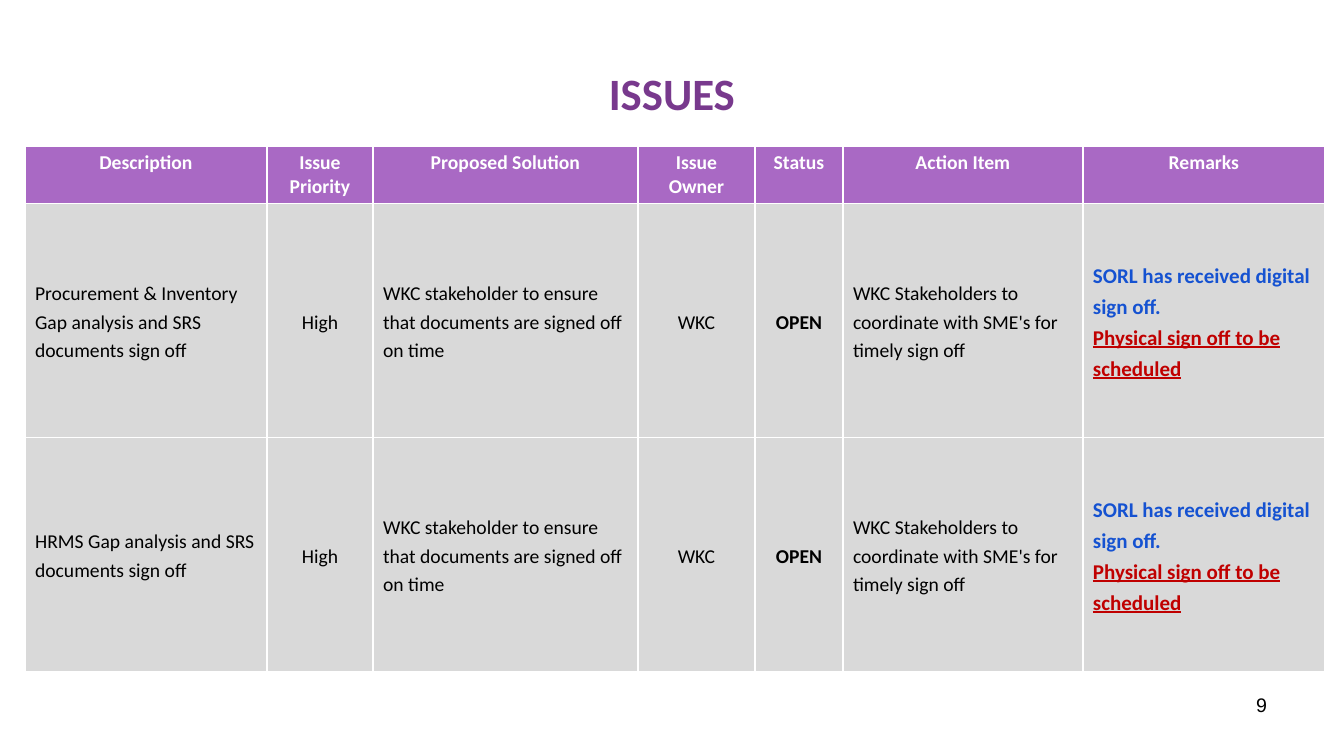
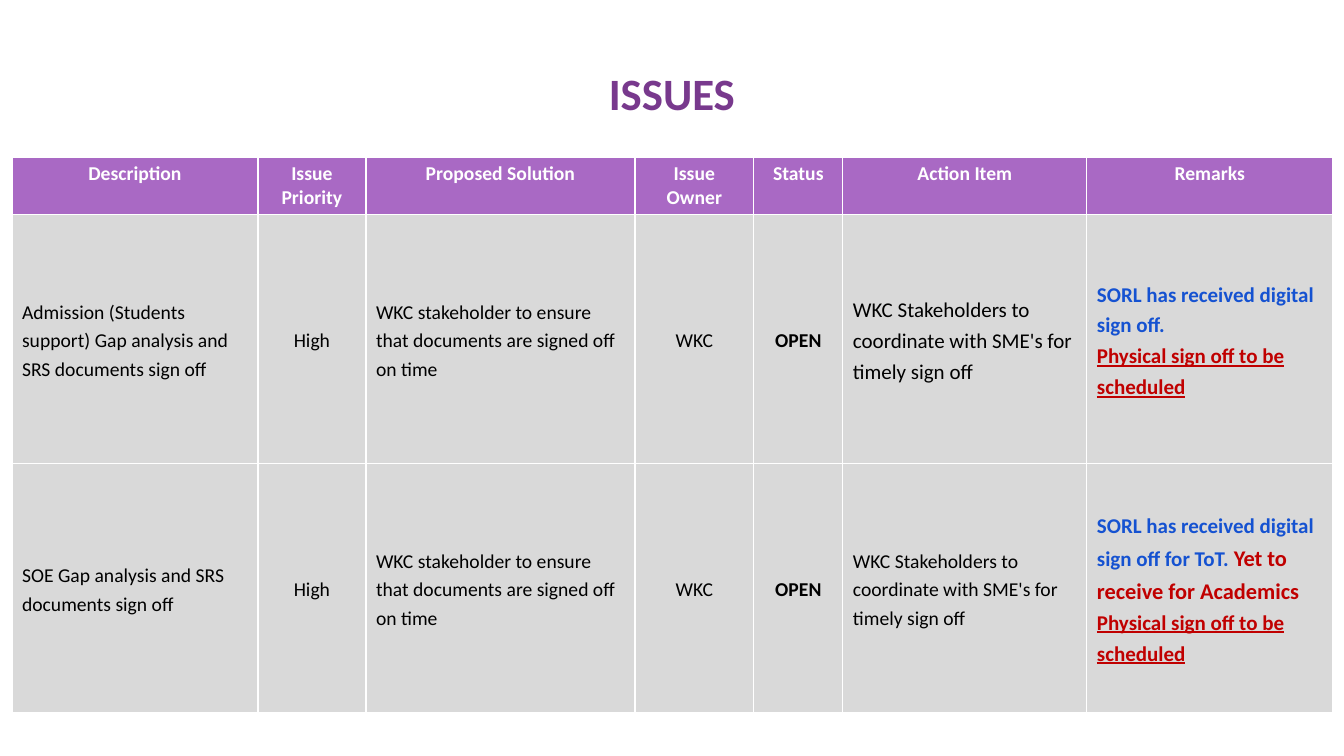
"""Build the two issue-log slides."""
from typing import NamedTuple

from lxml.etree import SubElement
from pptx import Presentation
from pptx.dml.color import RGBColor
from pptx.enum.text import MSO_ANCHOR, PP_ALIGN
from pptx.oxml import parse_xml
from pptx.oxml.ns import nsdecls, qn
from pptx.util import Emu, Pt

COLORS = {
    "title": "78398D",
    "header": "A969C4",
    "body": "D9D9D9",
    "white": "FFFFFF",
    "black": "000000",
    "blue": "1552D1",
    "red": "C00000",
}


class Style(NamedTuple):
    size: int
    color: str
    bold: bool = False
    underline: bool = False
    font: str = "Calibri"


TITLE = Style(32, "title", bold=True)
NUMBER = Style(14, "black", font="Arial")
HEADER = Style(14, "white", bold=True)
BODY = Style(14, "black")
BODY_LARGE = Style(15, "black")
STATUS = Style(14, "black", bold=True)
RECEIVED = Style(15, "blue", bold=True)
MISSING = Style(16, "red", bold=True)
PENDING = Style(15, "red", bold=True, underline=True)

HEADINGS = ["Description", "Issue Priority", "Proposed Solution", "Issue Owner",
            "Status", "Action Item", "Remarks"]
COLUMN_WIDTHS = [242, 106, 265, 117, 88, 240, 242]
CENTERED = {"Issue Priority", "Issue Owner", "Status"}
SOLUTION = "WKC stakeholder to ensure that documents are signed off on time"
ACTION = "WKC Stakeholders to coordinate with SME's for timely sign off"
SIGNED_OFF = [("SORL has received digital sign off.", RECEIVED)]
PARTLY_SIGNED_OFF = [("SORL has received digital sign off for ToT. ", RECEIVED),
                     ("Yet to receive for Academics", MISSING)]
TO_SCHEDULE = [("Physical sign off to be scheduled", PENDING)]


class Deck:
    SCALE = 914400 / 100.8

    def __init__(self):
        self.prs = Presentation()
        self.prs.slide_width = self.px(1344)
        self.prs.slide_height = self.px(756)
        self.slide = None

    def px(self, length):
        return Emu(round(length * self.SCALE))

    def add_slide(self, title, number):
        self.slide = self.prs.slides.add_slide(self.prs.slide_layouts[6])
        self.text(title, TITLE, (67, 30, 1210, 126), PP_ALIGN.CENTER, MSO_ANCHOR.MIDDLE)
        self.text(str(number), NUMBER, (964, 688, 313, 52), PP_ALIGN.RIGHT, MSO_ANCHOR.TOP)

    def text(self, words, style, box, align, anchor):
        frame = self.slide.shapes.add_textbox(*map(self.px, box)).text_frame
        frame.word_wrap = True
        frame.vertical_anchor = anchor
        self.set_paragraphs(frame, [[(words, style)]], align)

    def set_paragraphs(self, frame, paragraphs, align, spacing=None):
        for index, pieces in enumerate(paragraphs):
            paragraph = frame.add_paragraph() if index else frame.paragraphs[0]
            paragraph.alignment = align
            paragraph.line_spacing = spacing
            for words, style in pieces:
                run = paragraph.add_run()
                run.text = words
                run.font.name = style.font
                run.font.size = Pt(style.size)
                run.font.bold = style.bold
                run.font.underline = style.underline
                run.font.color.rgb = RGBColor.from_string(COLORS[style.color])

    def paint(self, cell, color):
        cell.fill.solid()
        cell.fill.fore_color.rgb = RGBColor.from_string(COLORS[color])
        properties = cell._tc.get_or_add_tcPr()
        for index, side in enumerate(("lnL", "lnR", "lnT", "lnB")):
            border = parse_xml(f'<a:{side} {nsdecls("a")} w="{Pt(1)}"/>')
            solid = SubElement(border, qn("a:solidFill"))
            SubElement(solid, qn("a:srgbClr"), val=COLORS["white"])
            properties.insert(index, border)

    def issue_table(self, left, top, width, row_height, issues):
        heights = [57] + [row_height] * len(issues)
        box = (left, top, width, sum(heights))
        table = self.slide.shapes.add_table(
            len(heights), len(HEADINGS), *map(self.px, box)).table
        table.horz_banding = False
        for column, share in zip(table.columns, COLUMN_WIDTHS):
            column.width = self.px(round(share * width / sum(COLUMN_WIDTHS)))
        for row, height in zip(table.rows, heights):
            row.height = self.px(height)
        for cell, heading in zip(table.rows[0].cells, HEADINGS):
            self.paint(cell, "header")
            self.set_paragraphs(cell.text_frame, [[(heading, HEADER)]], PP_ALIGN.CENTER)
        for row, issue_cells in zip(list(table.rows)[1:], issues):
            for cell, heading, paragraphs in zip(row.cells, HEADINGS, issue_cells):
                self.paint(cell, "body")
                cell.vertical_anchor = MSO_ANCHOR.MIDDLE
                align = PP_ALIGN.CENTER if heading in CENTERED else PP_ALIGN.LEFT
                self.set_paragraphs(cell.text_frame, paragraphs, align, 1.2)


def issue(description, sign_off=SIGNED_OFF, action_style=BODY):
    plain = [(description, BODY), ("High", BODY), (SOLUTION, BODY), ("WKC", BODY),
             ("OPEN", STATUS), (ACTION, action_style)]
    return [[[piece]] for piece in plain] + [[sign_off, TO_SCHEDULE]]


def main():
    deck = Deck()
    deck.add_slide("ISSUES", 9)
    deck.issue_table(25, 146, 1300, 234, [
        issue("Procurement & Inventory Gap analysis and SRS documents sign off"),
        issue("HRMS Gap analysis and SRS documents sign off"),
    ])
    deck.add_slide("ISSUES", 10)
    deck.issue_table(12, 157, 1320, 249, [
        issue("Admission (Students support) Gap analysis and SRS documents sign off",
              action_style=BODY_LARGE),
        issue("SOE Gap analysis and SRS documents sign off", PARTLY_SIGNED_OFF),
    ])
    deck.prs.save("out.pptx")


if __name__ == "__main__":
    main()
